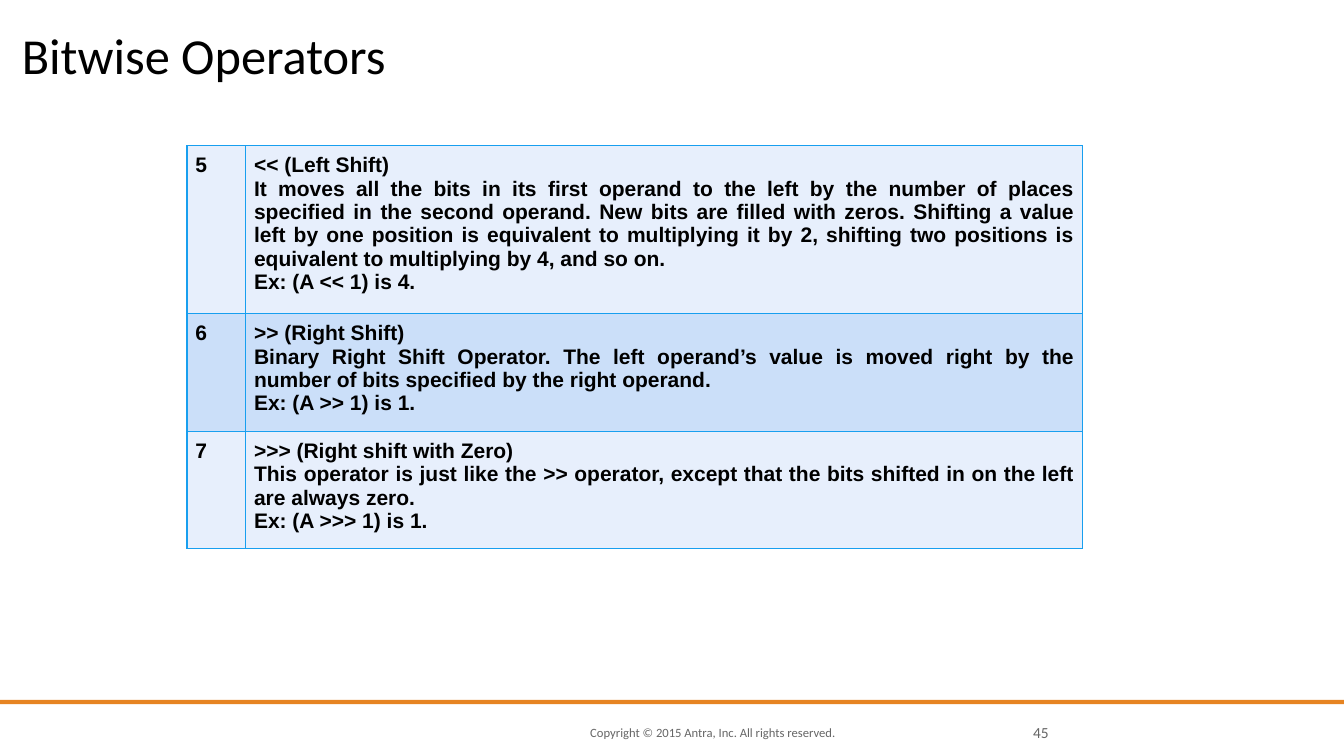
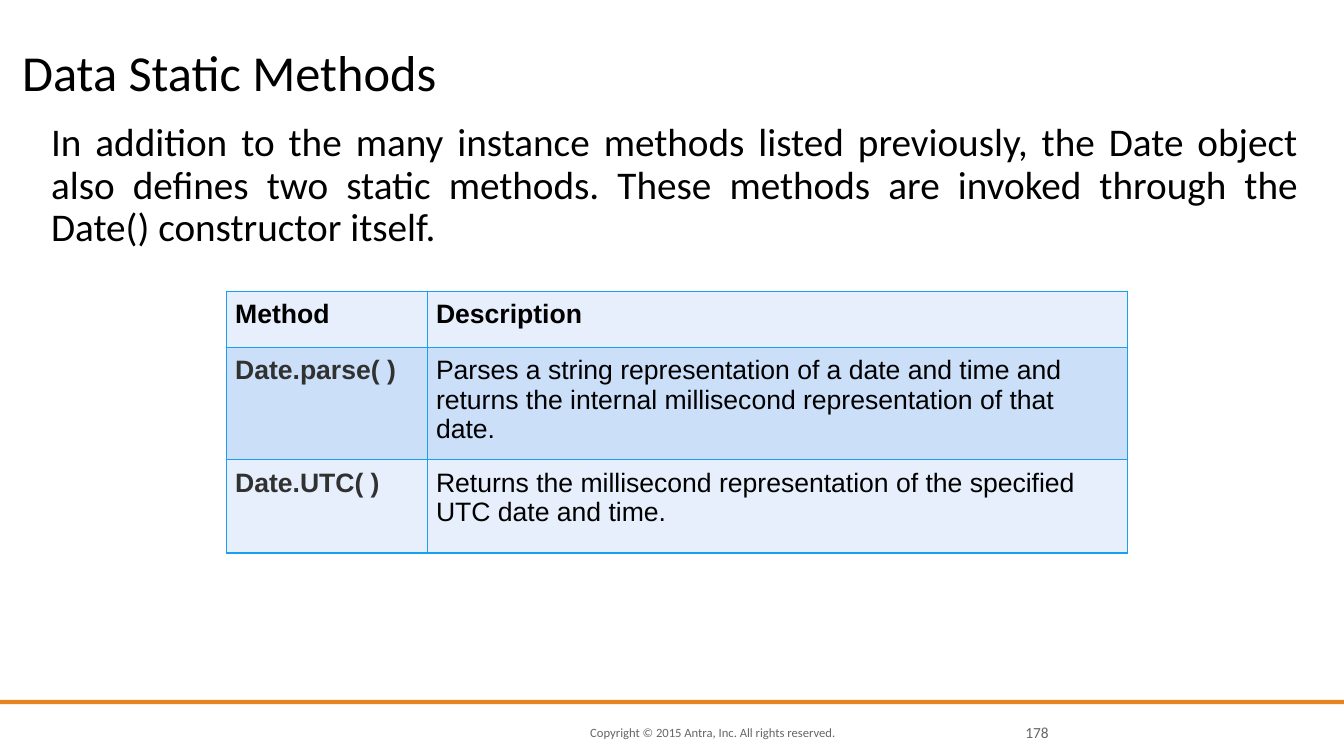
from lxml import etree
from pptx import Presentation
from pptx.dml.color import RGBColor
from pptx.enum.shapes import MSO_SHAPE
from pptx.enum.text import MSO_ANCHOR, PP_ALIGN
from pptx.oxml.ns import qn
from pptx.util import Pt

COLORS = {
    "text": "000000",
    "method": "313131",
    "footer": "666666",
    "rule": "E68422",
    "border": "189FEF",
    "band_light": "E7EFFC",
    "band_dark": "CBDFF9",
}
HEADING_FONT, TABLE_FONT = "Calibri", "Arial"
OPERATOR_SIZE, METHOD_SIZE = 15, 19
WIDTH, HEIGHT = 960, 540
FOOTER_TOP = 500
CELL_INSET = 6

OPERATORS = [
    ("5", [
        "<< (Left Shift)",
        "It moves all the bits in its first operand to the left by the number of "
        "places specified in the second operand. New bits are filled with zeros. "
        "Shifting a value left by one position is equivalent to multiplying it by 2, "
        "shifting two positions is equivalent to multiplying by 4, and so on.",
        "Ex: (A << 1) is 4.",
    ]),
    ("6", [
        ">> (Right Shift)",
        "Binary Right Shift Operator. The left operand’s value is moved right by "
        "the number of bits specified by the right operand.",
        "Ex: (A >> 1) is 1.",
    ]),
    ("7", [
        ">>> (Right shift with Zero)",
        "This operator is just like the >> operator, except that the bits shifted "
        "in on the left are always zero.",
        "Ex: (A >>> 1) is 1.",
    ]),
]
METHODS = [
    ("Date.parse( )", "Parses a string representation of a date and time and returns "
                      "the internal millisecond representation of that date."),
    ("Date.UTC( )", "Returns the millisecond representation of the specified UTC "
                    "date and time."),
]
INTRO = ("In addition to the many instance methods listed previously, the Date object "
         "also defines two static methods. These methods are invoked through the "
         "Date() constructor itself.")


def rgb(name):
    """Return the named palette colour."""
    return RGBColor.from_string(COLORS[name])


def write(frame, lines, size, font, color="text", bold=False,
          align=PP_ALIGN.LEFT, spacing=None):
    """Fill a text frame with one evenly styled paragraph per line."""
    frame.word_wrap = True
    for index, line in enumerate(lines):
        paragraph = frame.add_paragraph() if index else frame.paragraphs[0]
        paragraph.text = line
        paragraph.alignment = align
        paragraph.line_spacing = spacing
        paragraph.font.name = font
        paragraph.font.size = Pt(size)
        paragraph.font.bold = bold
        paragraph.font.color.rgb = rgb(color)


def add_text(slide, box, text, size, anchor=MSO_ANCHOR.TOP, **style):
    """Place a text box without insets in the given box."""
    frame = slide.shapes.add_textbox(*map(Pt, box)).text_frame
    frame.margin_left = frame.margin_right = frame.margin_top = frame.margin_bottom = 0
    frame.vertical_anchor = anchor
    write(frame, [text], size, HEADING_FONT, **style)


def add_title(slide, box, text):
    """Place the slide title at the bottom of its box."""
    add_text(slide, box, text, 36, MSO_ANCHOR.BOTTOM, spacing=0.8)


def add_footer(slide, box, number):
    """Place the coloured rule, copyright line and slide number."""
    left, top, width, height = box
    rule = slide.shapes.add_shape(MSO_SHAPE.RECTANGLE, *map(Pt, (left, top, width, 3)))
    rule.shadow.inherit = False
    rule.fill.solid()
    rule.fill.fore_color.rgb = rgb("rule")
    rule.line.fill.background()
    text_top, text_height = top + 16.2, 14.4
    add_text(slide, (left + 421.6, text_top, 220, text_height),
             "Copyright © 2015 Antra, Inc. All rights reserved.", 9,
             MSO_ANCHOR.MIDDLE, color="footer")
    add_text(slide, (left + 719.2, text_top, 30, text_height), str(number), 11,
             MSO_ANCHOR.MIDDLE, color="footer", align=PP_ALIGN.RIGHT)


def add_borders(cell):
    """Draw a thin line on every side of a table cell."""
    properties = cell._tc.get_or_add_tcPr()
    for index, side in enumerate(("a:lnL", "a:lnR", "a:lnT", "a:lnB")):
        line = etree.Element(qn(side), w=str(Pt(1)))
        fill = etree.SubElement(line, qn("a:solidFill"))
        etree.SubElement(fill, qn("a:srgbClr"), val=COLORS["border"])
        properties.insert(index, line)


def add_banded_table(slide, origin, columns, rows):
    """Place an empty table with alternating row fills and return it."""
    size = sum(columns), sum(rows)
    table = slide.shapes.add_table(
        len(rows), len(columns), *map(Pt, (*origin, *size))).table
    table.first_row = table.horz_banding = False
    for column, width in zip(table.columns, columns):
        column.width = Pt(width)
    for index, (row, height) in enumerate(zip(table.rows, rows)):
        row.height = Pt(height)
        for cell in row.cells:
            cell.margin_left = cell.margin_right = Pt(CELL_INSET)
            cell.margin_top = cell.margin_bottom = Pt(CELL_INSET)
            cell.fill.solid()
            cell.fill.fore_color.rgb = rgb("band_dark" if index % 2 else "band_light")
            add_borders(cell)
    return table


def add_operator_table(slide, origin):
    """Place the numbered operators with their explanations."""
    table = add_banded_table(slide, origin, (42, 598), (112, 78.6, 78.6))
    for row, (number, explanation) in zip(table.rows, OPERATORS):
        number_cell, explanation_cell = row.cells
        write(number_cell.text_frame, [number], OPERATOR_SIZE, TABLE_FONT, bold=True)
        write(explanation_cell.text_frame, explanation, OPERATOR_SIZE, TABLE_FONT,
              bold=True, align=PP_ALIGN.JUSTIFY)


def add_method_table(slide, origin):
    """Place the static methods below a bold heading row."""
    table = add_banded_table(slide, origin, (143.5, 500), (40, 75.6, 66.6))
    for column, heading in enumerate(("Method", "Description")):
        write(table.cell(0, column).text_frame, [heading], METHOD_SIZE, TABLE_FONT,
              bold=True)
    for row, (method, description) in enumerate(METHODS, start=1):
        write(table.cell(row, 0).text_frame, [method], METHOD_SIZE, TABLE_FONT,
              "method", bold=True, align=PP_ALIGN.JUSTIFY)
        write(table.cell(row, 1).text_frame, [description], METHOD_SIZE, TABLE_FONT)


def start_slide(deck, title, title_box, number):
    """Add a blank slide carrying the shared title and footer."""
    slide = deck.slides.add_slide(deck.slide_layouts[6])
    add_title(slide, title_box, title)
    add_footer(slide, (0, FOOTER_TOP, WIDTH, HEIGHT - FOOTER_TOP), number)
    return slide


def build_operators_slide(deck):
    """Build the slide on bitwise shift operators."""
    slide = start_slide(deck, "Bitwise Operators", (15.6, 21, 876, 39), 45)
    add_operator_table(slide, (133.5, 104))


def build_methods_slide(deck):
    """Build the slide on static date methods."""
    slide = start_slide(deck, "Data Static Methods", (15.8, 21.6, 876, 50.4), 178)
    add_text(slide, (36.5, 87.8, 890.6, 100), INTRO, 28,
             align=PP_ALIGN.JUSTIFY, spacing=0.9)
    add_method_table(slide, (162, 208))


def main():
    """Build both slides and save the deck."""
    deck = Presentation()
    deck.slide_width, deck.slide_height = Pt(WIDTH), Pt(HEIGHT)
    build_operators_slide(deck)
    build_methods_slide(deck)
    deck.save("out.pptx")


if __name__ == "__main__":
    main()
